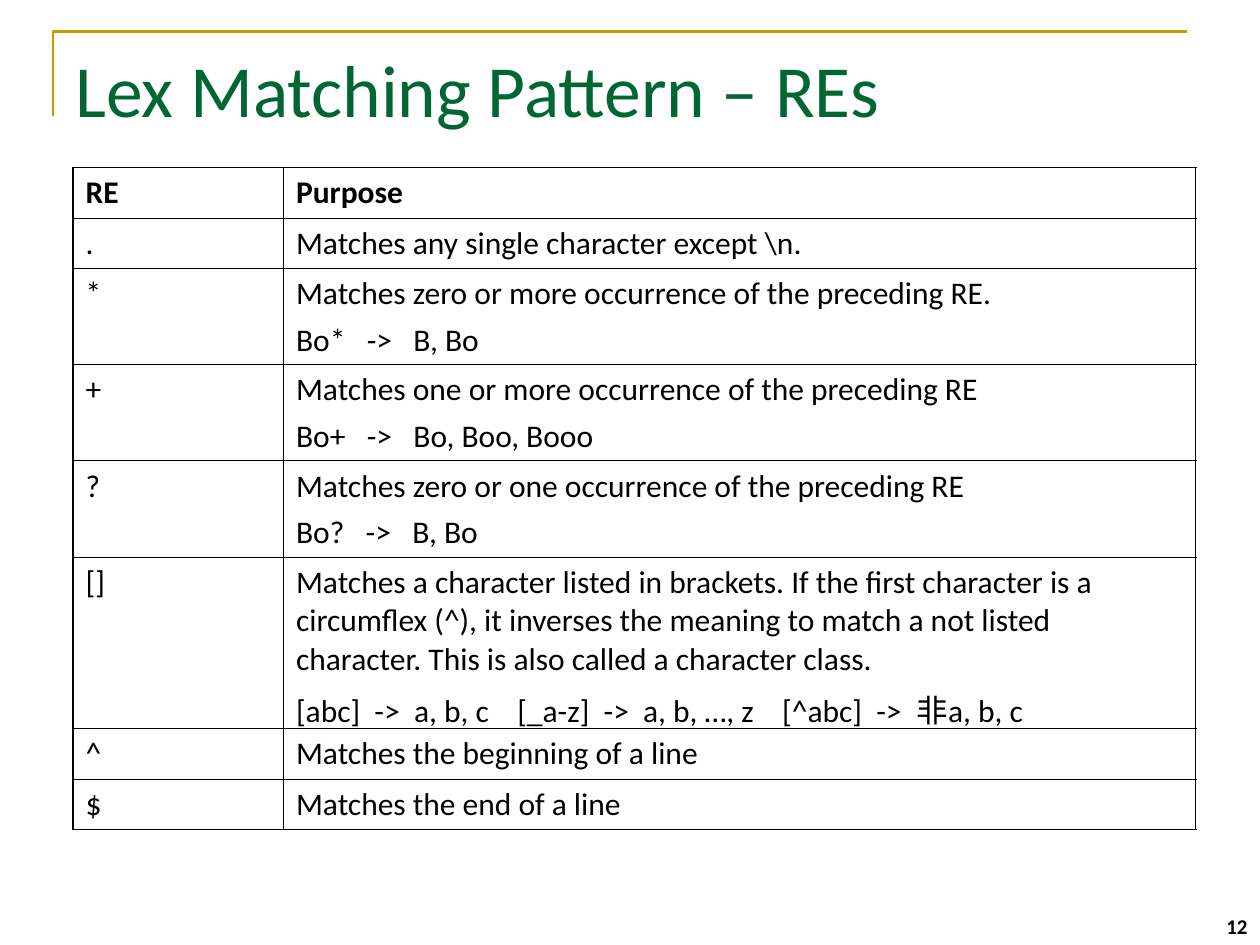
from lxml.etree import SubElement
from pptx import Presentation
from pptx.dml.color import RGBColor
from pptx.enum.text import MSO_ANCHOR, PP_ALIGN
from pptx.oxml.ns import qn
from pptx.util import Inches, Pt

BLACK = RGBColor(0x00, 0x00, 0x00)
GREEN = RGBColor(0x00, 0x66, 0x33)
GOLD = RGBColor(0xCC, 0x99, 0x00)
FONT = "Calibri"
WIDTH, HEIGHT = Inches(10), Inches(7.5)
THIN, THICK = Pt(0.45), Pt(1.08)

COLUMN_WIDTHS = (1.67, 7.24)
ROW_HEIGHT_BY_PARAGRAPHS = {1: 0.4, 2: 0.76}
BRACKET_ROW_HEIGHT = 1.36
PATTERNS = [
    ("RE", ["Purpose"]),
    (".", ["Matches any single character except \\n."]),
    ("*", ["Matches zero or more occurrence of the preceding RE.",
           "Bo*   ->   B, Bo"]),
    ("+", ["Matches one or more occurrence of the preceding RE",
           "Bo+   ->   Bo, Boo, Booo"]),
    ("?", ["Matches zero or one occurrence of the preceding RE",
           "Bo?   ->   B, Bo"]),
    ("[]", ["Matches a character listed in brackets. If the first character "
            "is a circumflex (^), it inverses the meaning to match a not "
            "listed character. This is also called a character class.",
            "[abc]  ->  a, b, c    [_a-z]  ->  a, b, …, z    "
            "[^abc]  ->  非a, b, c"]),
    ("^", ["Matches the beginning of a line"]),
    ("$", ["Matches the end of a line"]),
]


def write(frame, paragraphs, *, size, color=BLACK, bold=False,
          align=PP_ALIGN.LEFT, anchor=MSO_ANCHOR.TOP, before=0):
    frame.word_wrap = True
    frame.vertical_anchor = anchor
    for index, text in enumerate(paragraphs):
        paragraph = frame.paragraphs[0] if index == 0 else frame.add_paragraph()
        paragraph.alignment = align
        paragraph.space_before = Pt(before)
        run = paragraph.add_run()
        run.text = text
        run.font.name = FONT
        run.font.size = Pt(size)
        run.font.bold = bold
        run.font.color.rgb = color


def place(shape, left, top, width, height):
    """Position a shape by shares of the slide's size."""
    shape.left, shape.width = int(left * WIDTH), int(width * WIDTH)
    shape.top, shape.height = int(top * HEIGHT), int(height * HEIGHT)


def add_corner_rule(slide):
    left, top = Inches(0.42), Inches(0.25)
    builder = slide.shapes.build_freeform(left, top + Inches(0.67))
    builder.add_line_segments([(left, top), (left + Inches(9), top)], close=False)
    rule = builder.convert_to_shape()
    rule.shadow.inherit = False
    rule.fill.background()
    rule.line.color.rgb = GOLD
    rule.line.width = Pt(1.5)


def add_title(slide, text):
    title = slide.shapes.title
    place(title, 0.05, 0.04, 0.9, 1 / 6)
    write(title.text_frame, [text], size=42, color=GREEN)


def add_page_number(slide, number):
    box = slide.shapes.add_textbox(0, 0, 0, 0)
    place(box, 0.767, 14 / 15, 0.233, 1 / 15)
    write(box.text_frame, [number], size=12, bold=True,
          align=PP_ALIGN.RIGHT, anchor=MSO_ANCHOR.BOTTOM)


def set_borders(cell, **widths):
    properties = cell._tc.get_or_add_tcPr()
    for side in "LRTB":
        line = SubElement(properties, qn(f"a:ln{side}"), w=str(widths[side]))
        fill = SubElement(line, qn("a:solidFill"))
        SubElement(fill, qn("a:srgbClr"), val=str(BLACK))


def add_pattern_table(slide):
    heights = [BRACKET_ROW_HEIGHT if pattern == "[]"
               else ROW_HEIGHT_BY_PARAGRAPHS[len(purpose)]
               for pattern, purpose in PATTERNS]
    table = slide.shapes.add_table(
        len(PATTERNS), len(COLUMN_WIDTHS), Inches(0.58), Inches(1.33),
        Inches(sum(COLUMN_WIDTHS)), Inches(sum(heights))).table
    table.first_row = table.horz_banding = False
    for column, width in zip(table.columns, COLUMN_WIDTHS):
        column.width = Inches(width)
    last_column = len(COLUMN_WIDTHS) - 1
    for r, (pattern, purpose) in enumerate(PATTERNS):
        table.rows[r].height = Inches(heights[r])
        for c, paragraphs in enumerate(([pattern], purpose)):
            cell = table.cell(r, c)
            write(cell.text_frame, paragraphs, size=18, bold=r == 0, before=4.5)
            set_borders(cell, L=THICK if c == 0 else THIN,
                        R=THICK if c == last_column else THIN,
                        T=THICK if r == 0 else THIN, B=THIN)
            cell.fill.background()


def main():
    deck = Presentation()
    deck.slide_width, deck.slide_height = WIDTH, HEIGHT
    slide = deck.slides.add_slide(deck.slide_layouts.get_by_name("Title Only"))
    add_corner_rule(slide)
    add_page_number(slide, "12")
    add_title(slide, "Lex Matching Pattern – REs")
    add_pattern_table(slide)
    deck.save("out.pptx")


if __name__ == "__main__":
    main()
